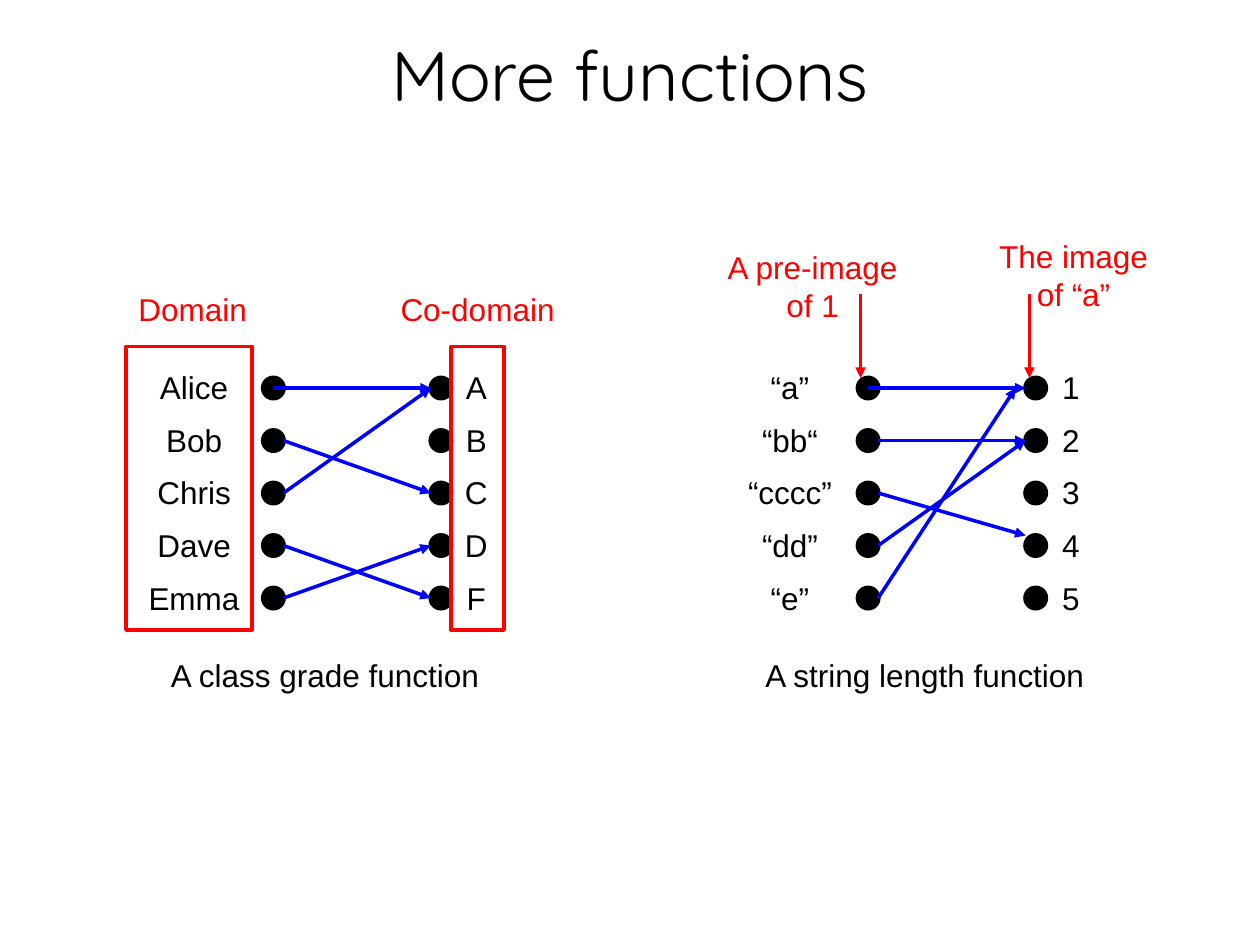
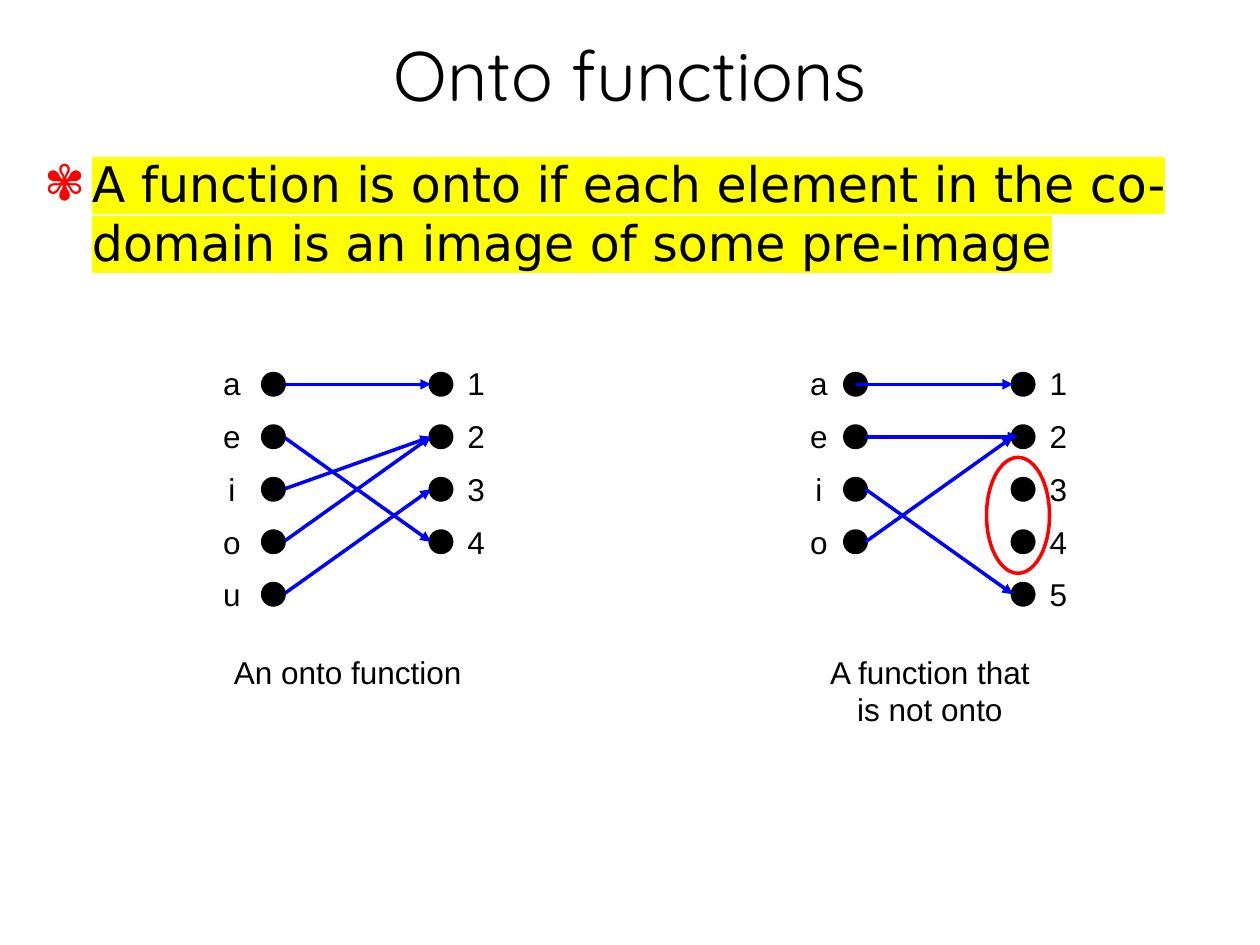
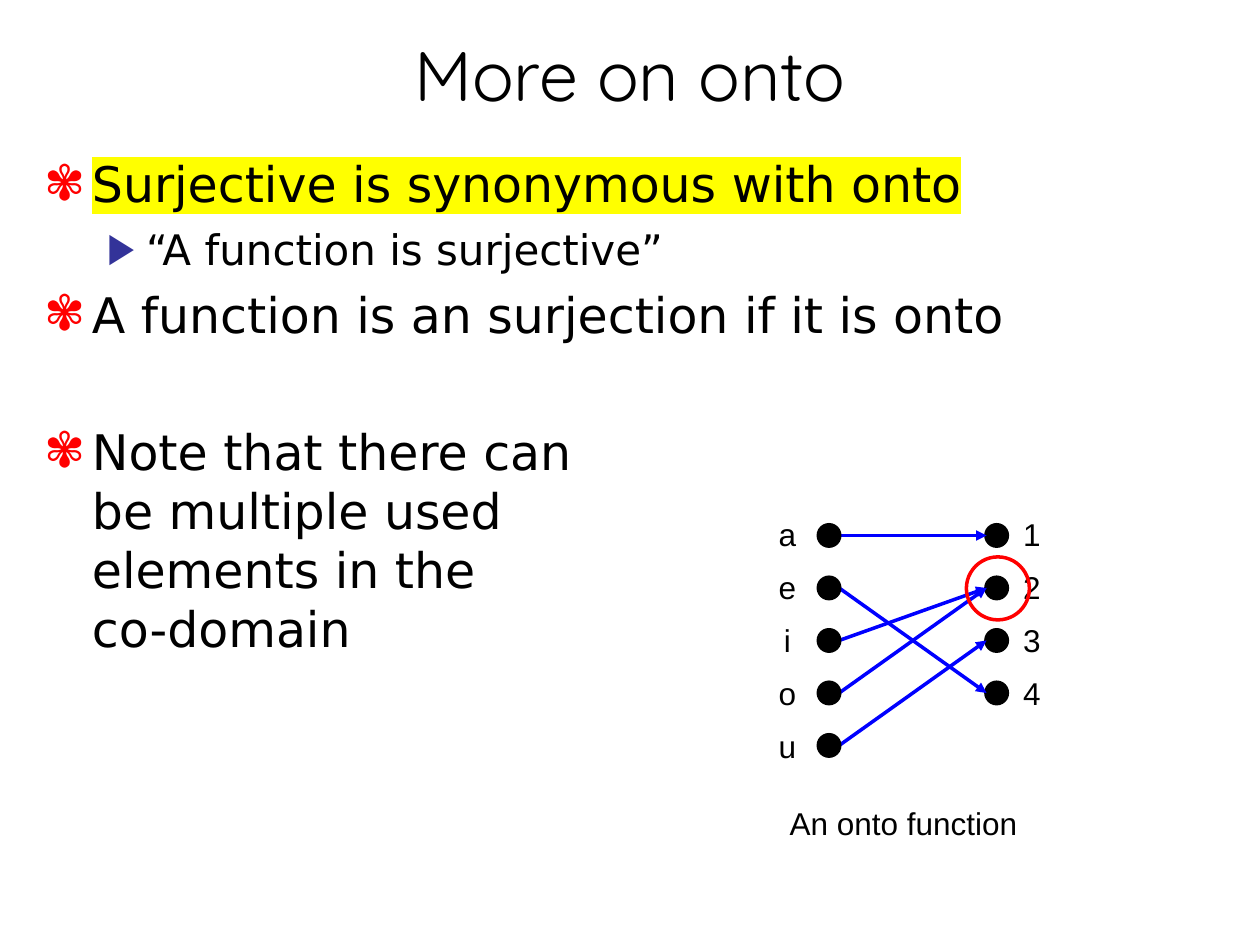
from dataclasses import dataclass

from lxml import etree
from pptx import Presentation
from pptx.dml.color import RGBColor
from pptx.enum import shapes, text
from pptx.oxml import ns
from pptx.util import Inches, Pt

BLACK = RGBColor(0x00, 0x00, 0x00)
RED = RGBColor(0xFF, 0x00, 0x00)
BLUE = RGBColor(0x00, 0x00, 0xFF)
INDIGO = RGBColor(0x33, 0x33, 0x99)
YELLOW = RGBColor(0xFF, 0xFF, 0x00)

DOT = 0.17
RADIUS = 0.08
ROW = 5 / 12
COLUMN_GAP = 1.33
TARGET_LABEL_GAP = 0.28
LABEL_RISE = 0.33
CAPTION_DROP = 2.08
LINE_WIDTH = Pt(2)


@dataclass
class Mapping:
    left: float
    top: float
    sources: list
    targets: list
    arrows: list
    caption: str
    caption_width: float
    caption_offset: float
    source_gap: float = 0.33
    source_width: float = 0.34
    target_width: float = 0.34
    wrap_caption: bool = False
    sources_on_top: bool = False


@dataclass
class Bullet:
    words: str
    level: int = 0
    highlighted: bool = False
    space_before: float = 6


LEVELS = [("✾", RED, 0.38, 0.38, 28), ("▶", INDIGO, 0.81, 0.31, 24)]


def onto_mapping(left, top):
    return Mapping(left, top, list("aeiou"), list("1234"),
                   [(0, 0), (1, 3), (3, 1), (2, 1), (4, 2)],
                   "An onto function", 2.01, 0.59, sources_on_top=True)


STRING_LENGTHS = Mapping(
    6.89, 3.08, ["“a”", "“bb“", "“cccc”", "“dd”", "“e”"], list("12345"),
    [(0, 0), (1, 1), (3, 1), (2, 3, 0, -0.08), (4, 0, -0.08, 0)],
    "A string length function", 2.74, 0.45, source_gap=0.62, source_width=0.87)
CLASS_GRADES = Mapping(
    2.17, 3.08, ["Alice", "Bob", "Chris", "Dave", "Emma"], list("ABCDF"),
    [(0, 0), (1, 2), (3, 4), (2, 0), (4, 3)],
    "A class grade function", 2.66, 0.41, source_gap=0.63, source_width=0.92,
    target_width=0.38)
NOT_ONTO = Mapping(
    6.79, 3.05, list("aeio"), list("12345"),
    [(0, 0), (1, 1, 0.04, 0), (3, 1), (2, 4)],
    "A function that is not onto", 1.92, 0.59, source_gap=0.29, wrap_caption=True)

SLIDES = [
    {
        "title": "More functions",
        "mappings": [STRING_LENGTHS, CLASS_GRADES],
        "frames": [("RECTANGLE", 1, 2.75, 1, 2.25), ("RECTANGLE", 3.58, 2.75, 0.42, 2.25)],
        "pointers": [(6.83, 2.33, 6.83, 3), (8.17, 2.33, 8.17, 3)],
        "callouts": [
            (["Domain"], 1, 2.25, 1.06, 0.4),
            (["Co-domain"], 3.08, 2.25, 1.42, 0.4),
            (["A pre-image", "of 1"], 5.67, 1.92, 1.56, 0.7),
            (["The image", "of “a”"], 7.83, 1.83, 1.38, 0.7),
        ],
    },
    {
        "title": "Onto functions",
        "bullets": [Bullet("A function is onto if each element in the co-domain "
                           "is an image of some pre-image", highlighted=True)],
        "mappings": [NOT_ONTO, onto_mapping(2.17, 3.05)],
        "frames": [("OVAL", 7.83, 3.63, 0.5, 0.92)],
    },
    {
        "title": "More on onto",
        "bullets": [
            Bullet("Surjective is synonymous with onto", highlighted=True),
            Bullet("“A function is surjective”", level=1),
            Bullet("A function is an surjection if it is onto"),
            Bullet("Note that there can\vbe multiple used\velements in the\vco-domain",
                   space_before=45),
        ],
        "mappings": [onto_mapping(6.58, 4.25)],
        "frames": [("OVAL", 7.67, 4.42, 0.5, 0.5)],
    },
]


def inches(*lengths):
    return [Inches(length) for length in lengths]


def set_font(font, name, size, color):
    font.name = name
    font.size = Pt(size)
    font.color.rgb = color


def place(shape, *bounds):
    shape.left, shape.top, shape.width, shape.height = inches(*bounds)


def add_child(parent, tag, **attributes):
    return etree.SubElement(parent, ns.qn(tag), attributes)


def add_outline(parts, kind, bounds, color, filled=False):
    shape = parts.add_shape(getattr(shapes.MSO_SHAPE, kind), *inches(*bounds))
    shape.shadow.inherit = False
    shape.line.color.rgb = color
    shape.line.width = LINE_WIDTH
    if filled:
        shape.fill.solid()
        shape.fill.fore_color.rgb = color
    else:
        shape.fill.background()


def add_arrow(parts, ends, color):
    arrow = parts.add_connector(shapes.MSO_CONNECTOR.STRAIGHT, *inches(*ends))
    arrow.line.color.rgb = color
    arrow.line.width = LINE_WIDTH
    add_child(arrow.line._get_or_add_ln(), "a:tailEnd", type="triangle")
    add_child(arrow._element.spPr, "a:effectLst")


def add_text(parts, lines, bounds, color=BLACK, spacing=None, wrap=False):
    frame = parts.add_textbox(*inches(*bounds)).text_frame
    frame.word_wrap = wrap
    frame.auto_size = text.MSO_AUTO_SIZE.SHAPE_TO_FIT_TEXT
    frame.text = "\n".join(lines)
    for para in frame.paragraphs:
        para.alignment = text.PP_ALIGN.CENTER
        para.line_spacing = spacing
        set_font(para.font, "Arial", 18, color)


def add_dots(parts, center, top, count):
    for row in range(count):
        bounds = (center - DOT / 2, top + row * ROW - DOT / 2, DOT, DOT)
        add_outline(parts, "OVAL", bounds, BLACK, filled=True)


def add_mapping(page, mapping):
    parts = page.shapes.add_group_shape().shapes
    left, top = mapping.left, mapping.top
    right = left + COLUMN_GAP
    if not mapping.sources_on_top:
        add_dots(parts, left, top, len(mapping.sources))
    add_dots(parts, right, top, len(mapping.targets))
    for source, target, *nudge in mapping.arrows:
        across, down = nudge or (0, 0)
        start = left + (RADIUS if source else 0)
        add_arrow(parts, (start, top + source * ROW,
                          right - RADIUS + across, top + target * ROW + down), BLUE)
    if mapping.sources_on_top:
        add_dots(parts, left, top, len(mapping.sources))
    columns = [
        (mapping.sources, left - mapping.source_gap, mapping.source_width),
        (mapping.targets, right + TARGET_LABEL_GAP, mapping.target_width),
    ]
    for labels, center, width in columns:
        add_text(parts, labels, (center - width / 2, top - LABEL_RISE, width, 2.2), spacing=1.4)
    width = mapping.caption_width
    height = 0.7 if mapping.wrap_caption else 0.4
    add_text(parts, [mapping.caption],
             (left + mapping.caption_offset - width / 2, top + CAPTION_DROP, width, height),
             wrap=mapping.wrap_caption)


def fill_title(page, words):
    title = page.shapes.title
    place(title, 0.25, 0.17, 9.5, 0.83)
    frame = title.text_frame
    frame.text = words
    frame.auto_size = text.MSO_AUTO_SIZE.NONE
    frame.vertical_anchor = text.MSO_ANCHOR.MIDDLE
    para = frame.paragraphs[0]
    para.alignment = text.PP_ALIGN.CENTER
    set_font(para.font, "Quicksand", 40, BLACK)


def fill_body(page, bullets):
    body = page.placeholders[1]
    place(body, 0.25, 1.17, 9.5, 5.75)
    frame = body.text_frame
    frame.text = "\n".join(bullet.words for bullet in bullets)
    frame.auto_size = text.MSO_AUTO_SIZE.NONE
    for para, bullet in zip(frame.paragraphs, bullets):
        symbol, color, margin, hang, size = LEVELS[bullet.level]
        para.level = bullet.level
        properties = para._p.get_or_add_pPr()
        properties.set("marL", str(Inches(margin)))
        properties.set("indent", str(-Inches(hang)))
        add_child(add_child(properties, "a:buClr"), "a:srgbClr", val=str(color))
        add_child(properties, "a:buChar", char=symbol)
        para.space_before = Pt(bullet.space_before)
        set_font(para.font, "DejaVu Sans", size, BLACK)
        if bullet.highlighted:
            for span in para.runs:
                highlight = add_child(span._r.get_or_add_rPr(), "a:highlight")
                add_child(highlight, "a:srgbClr", val=str(YELLOW))


def add_page(deck, content):
    bullets = content.get("bullets")
    page = deck.slides.add_slide(deck.slide_layouts[1 if bullets else 5])
    fill_title(page, content["title"])
    if bullets:
        fill_body(page, bullets)
    for mapping in content["mappings"]:
        add_mapping(page, mapping)
    for kind, *bounds in content["frames"]:
        add_outline(page.shapes, kind, bounds, RED)
    for ends in content.get("pointers", []):
        add_arrow(page.shapes, ends, RED)
    for lines, *bounds in content.get("callouts", []):
        add_text(page.shapes, lines, bounds, RED)


def main():
    deck = Presentation()
    deck.slide_width, deck.slide_height = inches(10, 7.5)
    for content in SLIDES:
        add_page(deck, content)
    deck.save("out.pptx")


if __name__ == "__main__":
    main()
